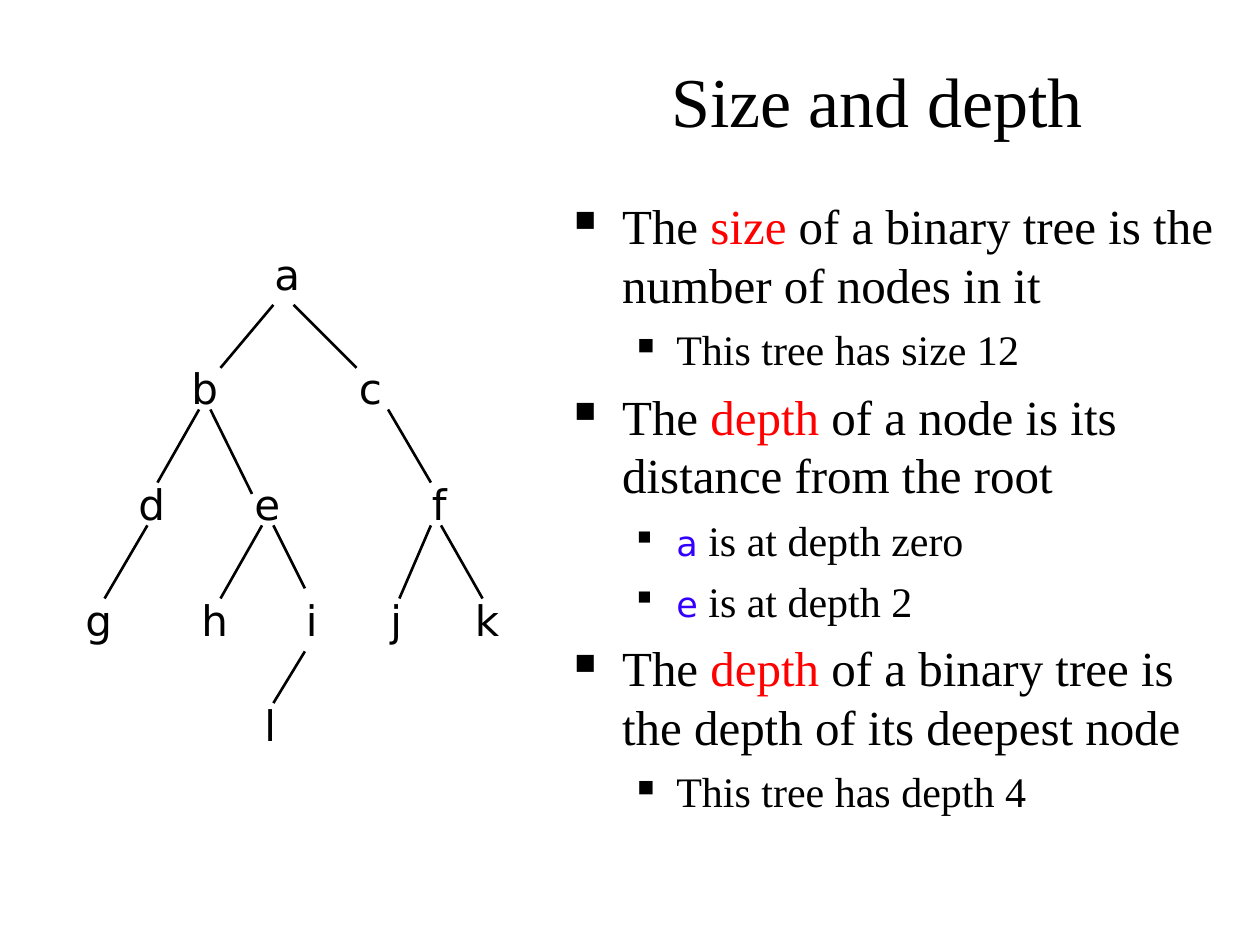
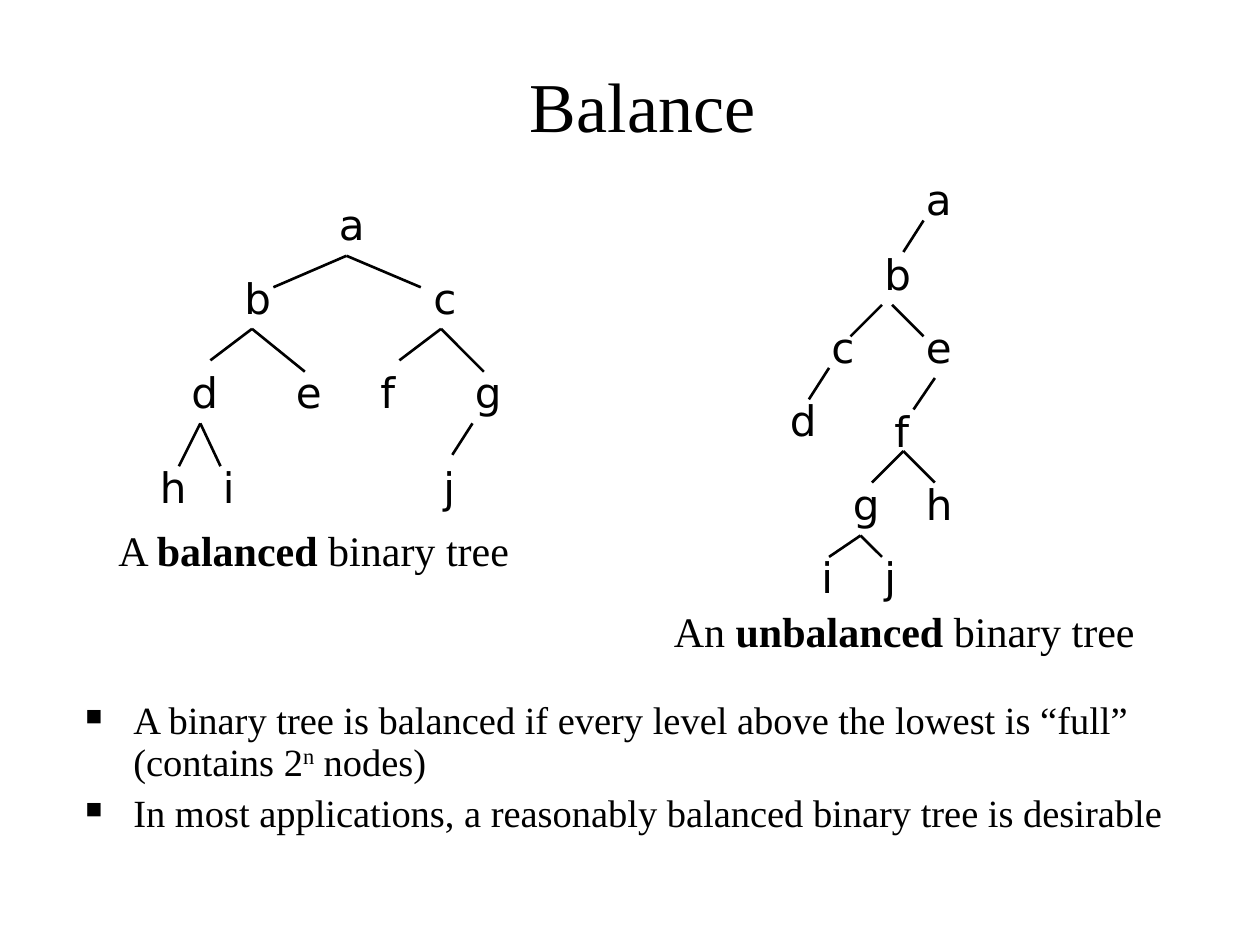
from lxml import etree
from pptx import Presentation
from pptx.dml.color import RGBColor
from pptx.enum.shapes import MSO_CONNECTOR
from pptx.enum.text import MSO_ANCHOR, MSO_AUTO_SIZE, PP_ALIGN
from pptx.oxml.ns import qn
from pptx.util import Inches, Pt

STRAIGHT = MSO_CONNECTOR.STRAIGHT
BOTTOM = MSO_ANCHOR.BOTTOM
CENTER = PP_ALIGN.CENTER
NO_FIT = MSO_AUTO_SIZE.NONE
GROW = MSO_AUTO_SIZE.SHAPE_TO_FIT_TEXT

COLORS = {"ink": "000000", "term": "FF0000", "node": "3300FF", "paper": "FFFFFF"}
SERIF, SANS = "Times New Roman", "DejaVu Sans"
TITLE_ONLY = 5
NODE_SIZE = (0.42, 0.5)
# For each level: left margin, hanging indent, bullet percentage
LEVELS = [(0.38, -0.38, 60), (0.81, -0.31, 55)]


class Deck:
    def __init__(self):
        self.prs = Presentation()
        self.prs.slide_width, self.prs.slide_height = Inches(10), Inches(7.5)
        self.slide = None

    def run(self, paragraph, text, size, color="ink", font=SERIF, bold=False, raised=0):
        run = paragraph.add_run()
        run.text = text
        run.font.name, run.font.size, run.font.bold = font, Pt(size), bold
        run.font.color.rgb = RGBColor.from_string(COLORS[color])
        if raised:
            run._r.get_or_add_rPr().set("baseline", str(raised * 1000))

    def new_slide(self, title, box):
        self.slide = self.prs.slides.add_slide(self.prs.slide_layouts[TITLE_ONLY])
        fill = self.slide.background.fill
        fill.solid()
        fill.fore_color.rgb = RGBColor.from_string(COLORS["paper"])
        heading = self.slide.shapes.title
        heading.left, heading.top, heading.width, heading.height = map(Inches, box)
        frame = heading.text_frame
        frame.auto_size, frame.vertical_anchor = NO_FIT, BOTTOM
        frame.paragraphs[0].alignment = CENTER
        self.run(frame.paragraphs[0], title, 40)

    def text_box(self, shapes, box, fit):
        frame = shapes.add_textbox(*map(Inches, box)).text_frame
        frame.word_wrap, frame.auto_size = True, fit
        return frame

    def bullet(self, paragraph, level):
        margin, indent, percent = LEVELS[level]
        props = paragraph._p.get_or_add_pPr()
        props.set("marL", str(Inches(margin)))
        props.set("indent", str(Inches(indent)))
        color = etree.SubElement(props, qn("a:buClr"))
        etree.SubElement(color, qn("a:srgbClr"), val=COLORS["ink"])
        etree.SubElement(props, qn("a:buSzPct"), val=str(percent * 1000))
        etree.SubElement(props, qn("a:buChar"), char="■")
        paragraph.level = level

    def bullets(self, box, items, sizes, gaps, spacing=None):
        """Each item is a level and its runs; a run is a text and its own style."""
        frame = self.text_box(self.slide.shapes, box, NO_FIT)
        for index, (level, runs) in enumerate(items):
            paragraph = frame.add_paragraph() if index else frame.paragraphs[0]
            self.bullet(paragraph, level)
            paragraph.line_spacing = spacing
            if index:
                paragraph.space_before = Pt(gaps[level])
            for text, style in runs:
                self.run(paragraph, text, **{"size": sizes[level], **style})

    def tree(self, rows, edges):
        """Rows hold a top and the left of each node; edges hold x1, y1, x2, y2."""
        shapes = self.slide.shapes.add_group_shape().shapes
        for top, nodes in rows:
            for letter, left in nodes.items():
                frame = self.text_box(shapes, (left, top, *NODE_SIZE), GROW)
                self.run(frame.paragraphs[0], letter, 24, font=SANS)
        for ends in edges:
            edge = shapes.add_connector(STRAIGHT, *map(Inches, ends))
            edge.line.color.rgb = RGBColor.from_string(COLORS["ink"])
            edge.line.width = Pt(1.5)
            etree.SubElement(edge._element.spPr, qn("a:effectLst"))
        return shapes

    def caption(self, shapes, box, article, kind):
        paragraph = self.text_box(shapes, box, GROW).paragraphs[0]
        self.run(paragraph, article + " ", 24)
        self.run(paragraph, kind, 24, bold=True)
        self.run(paragraph, " binary tree", 24)


def size_and_depth(deck):
    deck.new_slide("Size and depth", (5, 0.25, 3.92, 0.92))

    # Definitions
    term = {"color": "term"}
    node = {"color": "node", "font": SANS, "size": 20}
    deck.bullets((4.46, 1.5, 5.33, 5.21), [
        (0, [("The ", {}), ("size", term),
             (" of a binary tree is the number of nodes in it", {})]),
        (1, [("This tree has size 12", {})]),
        (0, [("The ", {}), ("depth", term),
             (" of a node is its distance from the root", {})]),
        (1, [("a", node), (" is at depth zero", {})]),
        (1, [("e", node), (" is at depth 2", {})]),
        (0, [("The ", {}), ("depth", term),
             (" of a binary tree is the depth of its deepest node", {})]),
        (1, [("This tree has depth 4", {})]),
    ], sizes=(28, 24), gaps=(7, 6))

    # Tree of twelve nodes
    deck.tree([
        (1.92, {"a": 2.08}),
        (2.83, {"b": 1.42, "c": 2.75}),
        (3.75, {"d": 1, "e": 1.92, "f": 3.33}),
        (4.67, {"g": 0.58, "h": 1.5, "i": 2.33, "j": 3, "k": 3.67}),
        (5.5, {"l": 2}),
    ], [
        (2.17, 2.42, 1.75, 2.92), (2.33, 2.42, 2.83, 2.92),
        (1.58, 3.25, 1.25, 3.83), (1.67, 3.25, 2, 3.92), (3.08, 3.25, 3.42, 3.83),
        (1.17, 4.17, 0.83, 4.75), (2.08, 4.17, 1.75, 4.75), (2.17, 4.17, 2.42, 4.67),
        (2.42, 5.17, 2.17, 5.58),
        (3.42, 4.17, 3.17, 4.75), (3.5, 4.17, 3.83, 4.75),
    ])


def balance(deck):
    deck.new_slide("Balance", (0.84, 0.29, 8.52, 0.92))

    # What balance means
    deck.bullets((0.58, 5.52, 9.08, 1.48), [
        (0, [("A binary tree is balanced if every level above the lowest is “full” "
              "(contains 2", {}), ("n", {"raised": 30}), (" nodes)", {})]),
        (0, [("In most applications, a reasonably balanced binary tree is desirable", {})]),
    ], sizes=(22,), gaps=(5.5,), spacing=0.9)

    # Balanced tree
    balanced = deck.tree([
        (1.53, {"a": 2.59}),
        (2.11, {"b": 1.84, "c": 3.34}),
        (2.86, {"d": 1.42, "e": 2.25, "f": 2.92, "g": 3.67}),
        (3.61, {"h": 1.17, "i": 1.67, "j": 3.42}),
    ], [
        (2.75, 2.03, 2.17, 2.28), (2.75, 2.03, 3.34, 2.28),
        (2, 2.61, 1.67, 2.86), (2, 2.61, 2.42, 2.95),
        (3.5, 2.61, 3.17, 2.86), (3.5, 2.61, 3.84, 2.95),
        (1.59, 3.36, 1.42, 3.7), (1.59, 3.36, 1.75, 3.7), (3.75, 3.36, 3.59, 3.61),
    ])
    deck.caption(balanced, (0.84, 4.11, 3.42, 0.5), "A", "balanced")

    # Unbalanced tree
    unbalanced = deck.tree([
        (1.33, {"a": 7.25}),
        (1.92, {"b": 6.92}),
        (2.5, {"c": 6.5, "e": 7.25}),
        (3.08, {"d": 6.17}),
        (3.17, {"f": 7}),
        (3.75, {"g": 6.67, "h": 7.25}),
        (4.33, {"i": 6.42, "j": 6.92}),
    ], [
        (7.33, 1.75, 7.17, 2),
        (7, 2.42, 6.75, 2.67), (7.08, 2.42, 7.33, 2.67),
        (6.58, 2.92, 6.42, 3.17), (7.42, 3, 7.25, 3.25),
        (7.17, 3.58, 6.92, 3.83), (7.17, 3.58, 7.42, 3.83),
        (6.83, 4.25, 6.58, 4.42), (6.83, 4.25, 7, 4.42),
    ])
    deck.caption(unbalanced, (5.25, 4.76, 4, 0.5), "An", "unbalanced")


def main():
    deck = Deck()
    size_and_depth(deck)
    balance(deck)
    deck.prs.save("out.pptx")


if __name__ == "__main__":
    main()
